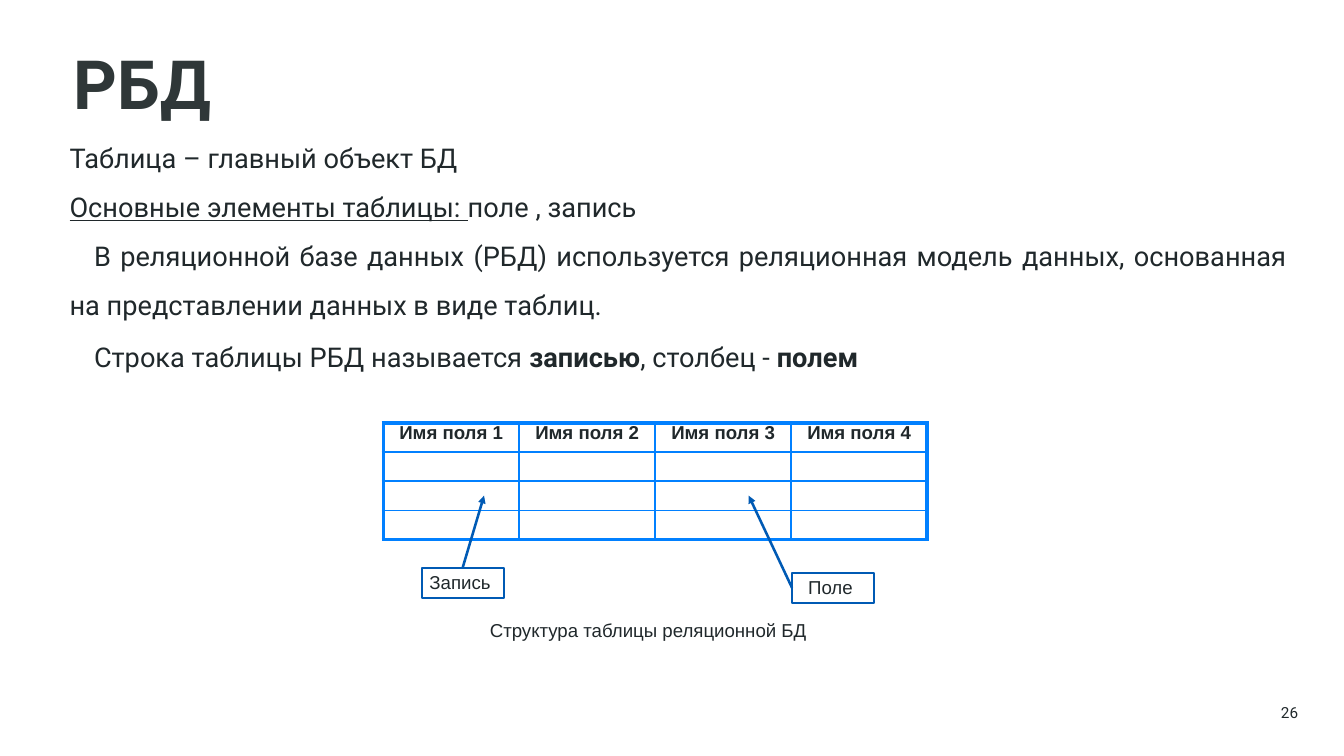
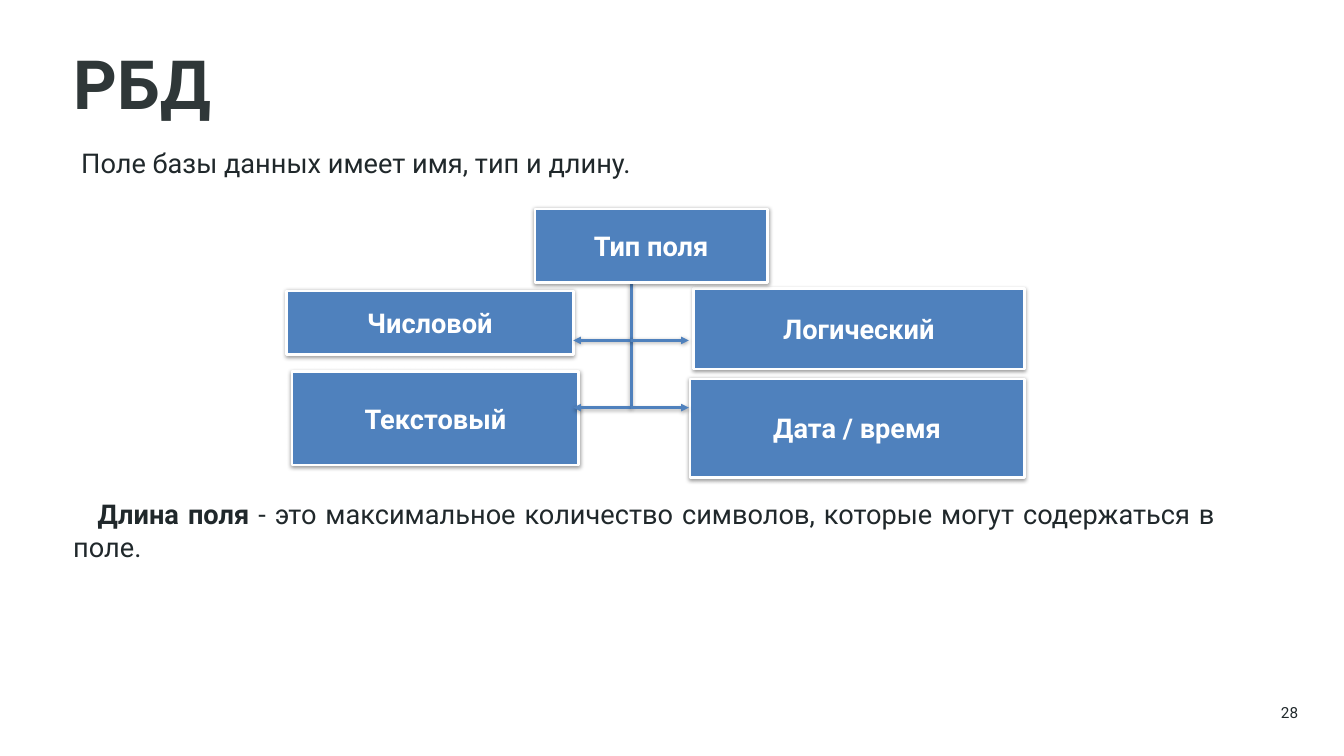
from lxml import etree
from pptx import Presentation
from pptx.dml.color import RGBColor
from pptx.enum.shapes import MSO_CONNECTOR, MSO_SHAPE
from pptx.enum.text import MSO_ANCHOR, PP_ALIGN
from pptx.oxml.ns import qn
from pptx.util import Inches, Pt

# Shared style
TITLE_COLOR = RGBColor(0x2F, 0x37, 0x38)
TEXT_COLOR = RGBColor(0x20, 0x28, 0x2B)
GRID_COLOR = RGBColor(0x01, 0x80, 0xFF)
LABEL_COLOR = RGBColor(0x00, 0x5A, 0xB4)
BOX_COLOR = RGBColor(0x4F, 0x81, 0xBD)
WHITE = RGBColor(0xFF, 0xFF, 0xFF)
MAIN_FONT = "Roboto"
FIGURE_FONT = "Arial"
BODY_SIZE = 32
FIGURE_SIZE = 22
FIRST_LINE = 0.4

LEFT, CENTER, RIGHT, JUSTIFY = PP_ALIGN.LEFT, PP_ALIGN.CENTER, PP_ALIGN.RIGHT, PP_ALIGN.JUSTIFY
TOP, MIDDLE = MSO_ANCHOR.TOP, MSO_ANCHOR.MIDDLE
RECTANGLE = MSO_SHAPE.RECTANGLE
STRAIGHT = MSO_CONNECTOR.STRAIGHT
TITLE_ONLY = 5
SIDE_TOP, SIDE_LEFT = 0, 1


def format_span(span, size, color=TEXT_COLOR, font=MAIN_FONT, bold=False):
    span.font.size = Pt(size)
    span.font.name = font
    span.font.bold = bold
    span.font.color.rgb = color


def set_frame(frame, inset=(0.1, 0.05), anchor=TOP):
    frame.word_wrap = True
    frame.vertical_anchor = anchor
    frame.margin_left = frame.margin_right = Inches(inset[0])
    frame.margin_top = frame.margin_bottom = Inches(inset[1])


def write_line(frame, text, size, align=CENTER, **style):
    frame.text = text
    para = frame.paragraphs[0]
    para.alignment = align
    format_span(para.runs[0], size, **style)


def write_para(para, spans, align=JUSTIFY, indent=0.0, spacing=1.0, before=0.0):
    """Fill a body paragraph; each span is (text, mark), mark being "", "b" or "u"."""
    para.alignment = align
    para.line_spacing = spacing
    para.space_before = Pt(before)
    properties = para._p.get_or_add_pPr()
    properties.set("marL", "0")
    properties.set("indent", str(Inches(indent)))
    for text, mark in spans:
        span = para.add_run()
        span.text = text
        format_span(span, BODY_SIZE, bold=mark == "b")
        span.font.underline = mark == "u"


def add_text_box(page, area, **frame_options):
    box = page.shapes.add_textbox(*map(Inches, area))
    set_frame(box.text_frame, **frame_options)
    return box.text_frame


def add_page(deck, title, number):
    page = deck.slides.add_slide(deck.slide_layouts[TITLE_ONLY])
    heading = page.shapes.title
    heading.left, heading.top, heading.width, heading.height = map(
        Inches, (1.21, 0.68, 19.23, 1.35))
    set_frame(heading.text_frame, inset=(0, 0))
    write_line(heading.text_frame, title, 80, LEFT, color=TITLE_COLOR, bold=True)
    footer = add_text_box(page, (18.24, 11.5, 3, 0.3), inset=(0, 0))
    write_line(footer, str(number), 18, RIGHT)
    return page


def add_shadow(effects, alpha, distance):
    shadow = etree.SubElement(
        effects, qn("a:outerShdw"), blurRad=str(Pt(5)), dist=str(Pt(distance)),
        dir="5400000", rotWithShape="0")
    color = etree.SubElement(shadow, qn("a:srgbClr"), val="000000")
    etree.SubElement(color, qn("a:alpha"), val=str(alpha * 1000))


def add_line(page, start, end, color, arrow=True, shadow=False):
    line = page.shapes.add_connector(STRAIGHT, *map(Inches, (*start, *end)))
    line.line.color.rgb = color
    line.line.width = Pt(3)
    if arrow:
        etree.SubElement(line.line._get_or_add_ln(), qn("a:tailEnd"), type="triangle")
    effects = etree.SubElement(line._element.spPr, qn("a:effectLst"))
    if shadow:
        add_shadow(effects, 35, 1.8)
    return line


def add_box(page, area, line_color, line_width, anchor):
    box = page.shapes.add_shape(RECTANGLE, *map(Inches, area))
    box.fill.background()
    box.line.color.rgb = line_color
    box.line.width = Pt(line_width)
    box.shadow.inherit = False
    set_frame(box.text_frame, anchor=anchor)
    return box


def add_label(page, text, left, top):
    box = add_box(page, (left, top, 1.34, 0.5), LABEL_COLOR, 2.25, TOP)
    write_line(box.text_frame, text, FIGURE_SIZE, font=FIGURE_FONT)
    return box


def add_type_box(page, text, area):
    box = add_box(page, area, WHITE, 3, MIDDLE)
    box.fill.solid()
    box.fill.fore_color.rgb = BOX_COLOR
    add_shadow(box._element.spPr.find(qn("a:effectLst")), 38, 1.6)
    write_line(box.text_frame, text, BODY_SIZE, color=WHITE, bold=True)


def set_borders(cell, outer_sides):
    properties = cell._tc.get_or_add_tcPr()
    for side in "LRTB":
        width = 4.5 if side in outer_sides else 2.25
        border = etree.SubElement(properties, qn(f"a:ln{side}"), w=str(Pt(width)))
        fill = etree.SubElement(border, qn("a:solidFill"))
        etree.SubElement(fill, qn("a:srgbClr"), val=str(GRID_COLOR))


def add_field_table(page, headers, row_count, area):
    column_count = len(headers)
    left, top, width, height = map(Inches, area)
    table = page.shapes.add_table(row_count, column_count, left, top, width, height).table
    table.first_row = table.horz_banding = False
    for row in range(row_count):
        for column in range(column_count):
            cell = table.cell(row, column)
            outer = {"L": column == 0, "R": column == column_count - 1,
                     "T": row == 0, "B": row == row_count - 1}
            set_borders(cell, [side for side in outer if outer[side]])
            cell.fill.solid()
            cell.fill.fore_color.rgb = WHITE
            cell.margin_left = cell.margin_right = cell.margin_top = cell.margin_bottom = 0
            if row == 0:
                write_line(cell.text_frame, headers[column], FIGURE_SIZE,
                           font=FIGURE_FONT, bold=True)


def build_table_page(deck):
    page = add_page(deck, "РБД", 26)

    # Definitions
    body = add_text_box(page, (1.04, 2, 20.13, 3.17))
    definitions = [
        ([("Таблица – главный объект БД", "")], 0, 0),
        ([("Основные элементы таблицы: ", "u"), ("поле , запись", "")], 0, 0),
        ([("В реляционной базе данных (РБД) используется реляционная модель данных, "
           "основанная на представлении данных в виде таблиц.", "")], FIRST_LINE, 0),
        ([("Строка таблицы РБД называется ", ""), ("записью", "b"),
          (", столбец - ", ""), ("полем", "b")], FIRST_LINE, 4.4),
    ]
    for index, (spans, indent, before) in enumerate(definitions):
        para = body.add_paragraph() if index else body.paragraphs[0]
        write_para(para, spans, indent=indent, spacing=1.5, before=before)

    # Table with its labels
    headers = [f"Имя поля {number}" for number in range(1, 5)]
    add_field_table(page, headers, 4, (6.27, 6.92, 8.9, 1.91))
    record = add_label(page, "Запись ", 6.9, 9.29)
    field = add_label(page, "Поле ", 12.96, 9.37)
    for label, side, start, end in [
        (record, SIDE_TOP, (7.57, 9.29), (7.92, 8.11)),
        (field, SIDE_LEFT, (12.96, 9.62), (12.25, 8.11)),
    ]:
        add_line(page, start, end, LABEL_COLOR).begin_connect(label, side)
    caption = add_text_box(page, (6.43, 10.08, 8.35, 0.47))
    write_line(caption, "Структура таблицы реляционной БД", FIGURE_SIZE, font=FIGURE_FONT)


def build_type_page(deck):
    page = add_page(deck, "РБД", 28)
    intro = add_text_box(page, (0.83, 2.35, 19.42, 1.08))
    write_para(intro.paragraphs[0], [("Поле базы данных имеет имя, тип и длину.", "")],
               align=LEFT, indent=FIRST_LINE)

    # Diagram of field types
    trunk, upper, lower = 10.33, 5.57, 6.67
    add_line(page, (trunk, lower), (trunk, 4.62), BOX_COLOR, arrow=False, shadow=True)
    for text, area in [
        ("Числовой", (4.69, 4.76, 4.69, 1.04)),
        ("Текстовый", (4.78, 6.08, 4.69, 1.53)),
        ("Логический", (11.35, 4.72, 5.41, 1.32)),
        ("Дата / время", (11.29, 6.2, 5.47, 1.61)),
        ("Тип поля", (8.75, 3.42, 3.81, 1.2)),
    ]:
        add_type_box(page, text, area)
    for level in (upper, lower):
        for tip in (9.38, 11.27):
            add_line(page, (trunk, level), (tip, level), BOX_COLOR, shadow=True)

    # Field length
    length = add_text_box(page, (1.1, 8.09, 18.89, 2.09))
    write_para(length.paragraphs[0], [
        ("Длина поля ", "b"),
        ("- это максимальное количество символов, которые могут содержаться в поле.", ""),
    ], indent=FIRST_LINE)


def main():
    deck = Presentation()
    deck.slide_width, deck.slide_height = Inches(21.99), Inches(12.37)
    build_table_page(deck)
    build_type_page(deck)
    deck.save("out.pptx")


if __name__ == "__main__":
    main()
